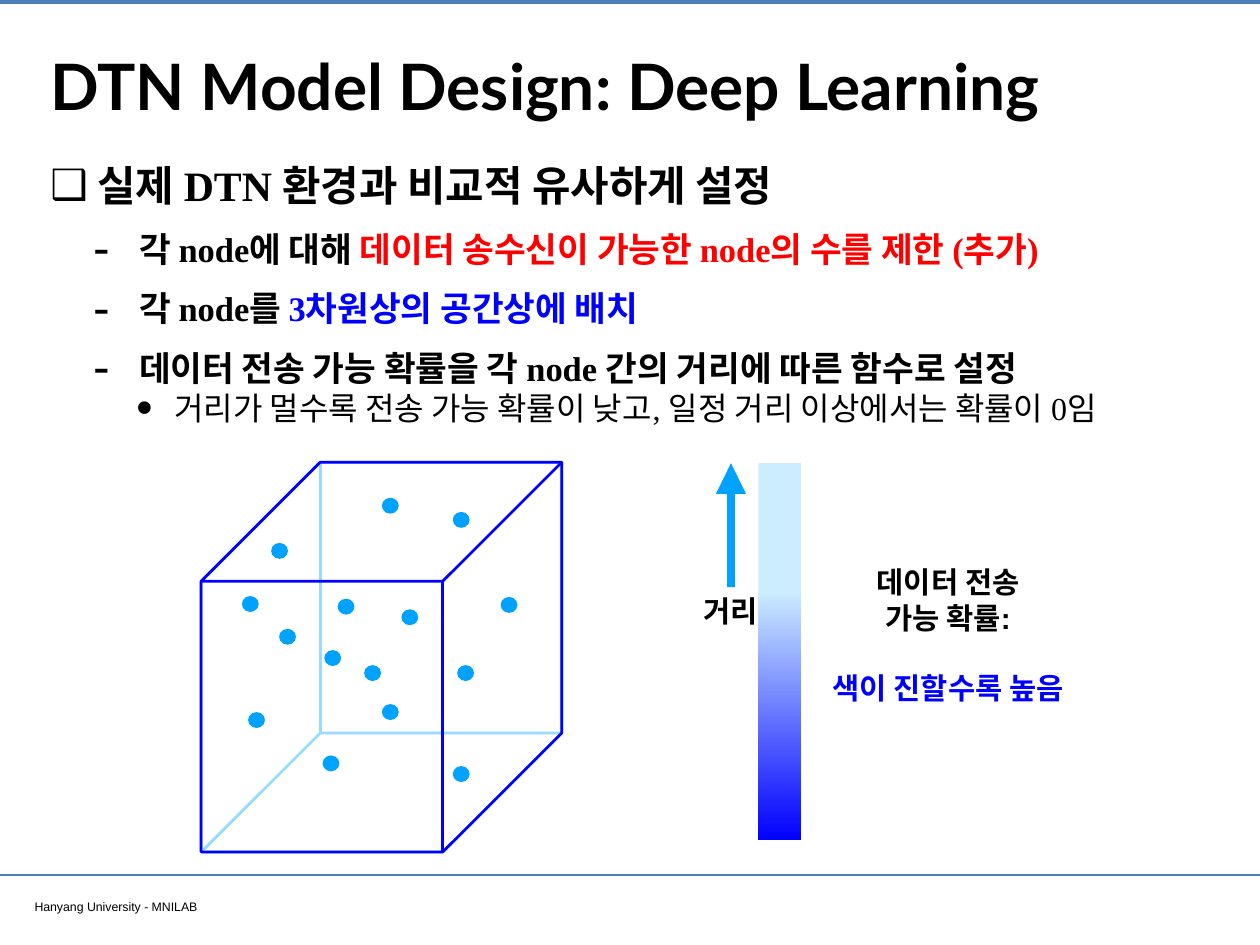
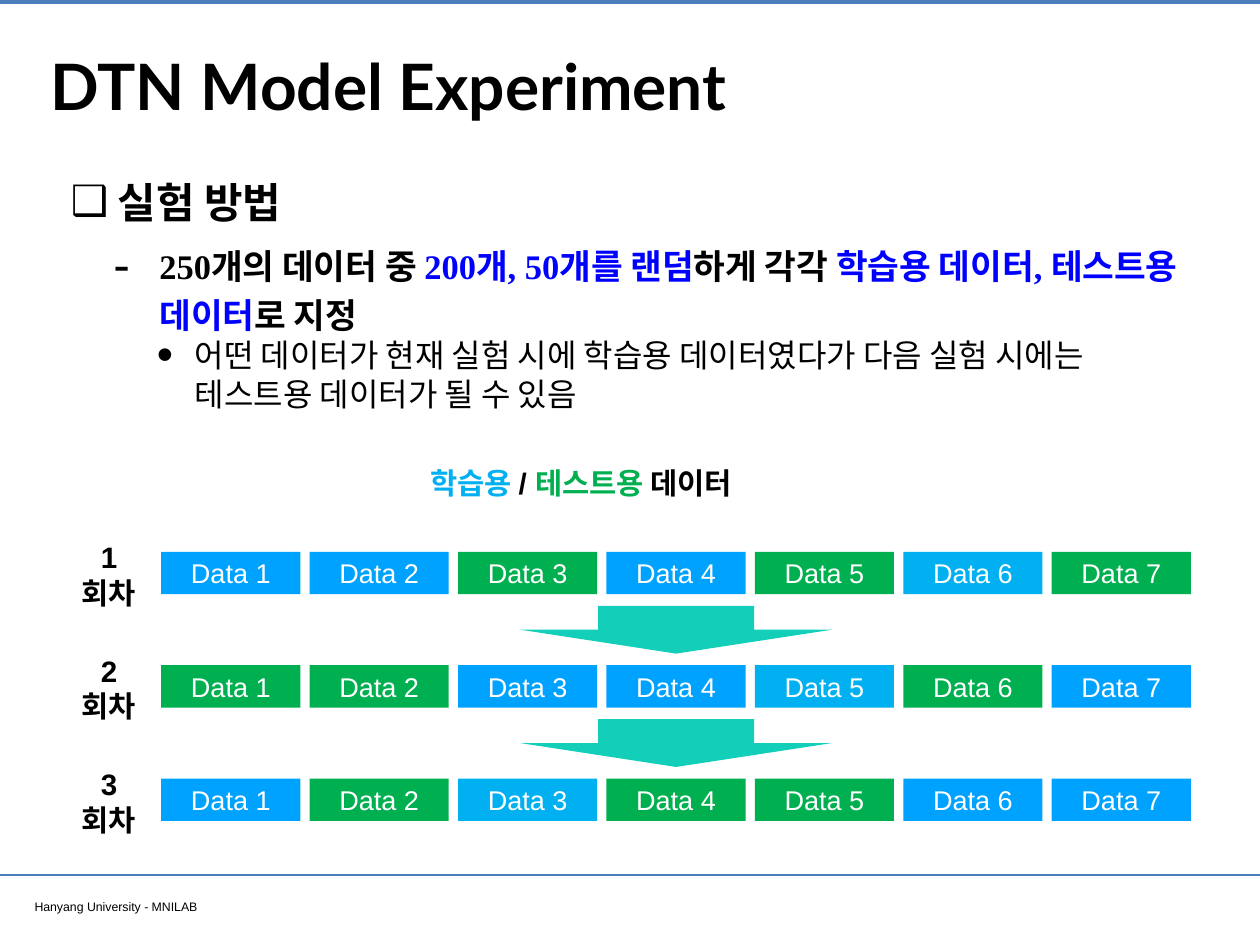
from lxml import etree
from pptx import Presentation
from pptx import util as u
from pptx.dml.color import RGBColor
from pptx.enum import shapes, text
from pptx.oxml.ns import qn

BLACK, WHITE, RED, BLUE = "000000", "FFFFFF", "FF0000", "0000FF"
BAND, SKY, CYAN, GREEN, TEAL = "4A7EBB", "00A2FF", "00B0F0", "00B050", "13CFB9"
CENTER, LEFT = text.PP_ALIGN.CENTER, text.PP_ALIGN.LEFT
SHAPE = shapes.MSO_SHAPE

# Outline levels: bullet, bullet size %, indent, hanging, size, bold, line spacing, space before
LEVELS = [
    ("❑", 100, 0.53, 0.53, 34, True, 1.2, 8),
    ("-", 145, 1, 0.52, 28, True, 1.2, 8),
    ("•", 145, 1.4, 0.43, 26, False, 1, 0),
]


def color(value):
    return RGBColor.from_string(value)


class Deck:
    """Shared style and the slide being filled."""

    def __init__(self):
        self.presentation = Presentation()
        self.presentation.slide_width = u.Inches(14.22)
        self.presentation.slide_height = u.Inches(10.67)
        self.slide = None

    def new_slide(self, title):
        self.slide = self.presentation.slides.add_slide(self.presentation.slide_layouts[5])
        self.line(0.02, 3.2)
        self.line(9.88, 2)
        self.text_box(0.33, 10.09, 5.46, 0.26, [[("Hanyang University - MNILAB", BLACK)]],
                      size=10, bold=False, align=LEFT, anchor=text.MSO_ANCHOR.TOP)
        placeholder = self.slide.shapes.title
        placeholder.left, placeholder.top = u.Inches(0.51), u.Inches(0.28)
        placeholder.width, placeholder.height = u.Inches(13.21), u.Inches(1.35)
        frame = self.frame(placeholder)
        frame.auto_size = text.MSO_AUTO_SIZE.NONE
        frame.paragraphs[0].alignment = LEFT
        self.runs(frame.paragraphs[0], [(title, BLACK)], 52, True, "Lato")

    def line(self, y, width):
        """Draw a band across the whole slide."""
        connector = self.slide.shapes.add_connector(
            shapes.MSO_CONNECTOR.STRAIGHT, 0, u.Inches(y), u.Inches(14.22), u.Inches(y))
        connector.line.color.rgb = color(BAND)
        connector.line.width = u.Pt(width)
        etree.SubElement(connector._element.spPr, qn("a:effectLst"))

    def frame(self, shape, wrap=True, anchor=text.MSO_ANCHOR.MIDDLE, side=0.06):
        frame = shape.text_frame
        frame.word_wrap = wrap
        frame.vertical_anchor = anchor
        frame.margin_left = frame.margin_right = u.Inches(side)
        frame.margin_top = frame.margin_bottom = u.Inches(0.06)
        return frame

    def runs(self, paragraph, parts, size, bold, font="Arial"):
        for words, shade in parts:
            run = paragraph.add_run()
            run.text = words
            run.font.name, run.font.size, run.font.bold = font, u.Pt(size), bold
            run.font.color.rgb = color(shade)

    def text_box(self, x, y, width, height, lines, size=24, bold=True, align=CENTER,
                 wrap=False, anchor=text.MSO_ANCHOR.MIDDLE, side=0.06):
        box = self.slide.shapes.add_textbox(*map(u.Inches, (x, y, width, height)))
        frame = self.frame(box, wrap, anchor, side)
        for index, parts in enumerate(lines):
            paragraph = frame.add_paragraph() if index else frame.paragraphs[0]
            paragraph.alignment = align
            self.runs(paragraph, parts, size, bold)
        return frame

    def outline(self, x, y, width, height, items):
        """Add bulleted text from (level, runs) pairs."""
        box = self.slide.shapes.add_textbox(*map(u.Inches, (x, y, width, height)))
        frame = self.frame(box, anchor=text.MSO_ANCHOR.TOP)
        for index, (level, parts) in enumerate(items):
            bullet, percent, indent, hanging, size, bold, spacing, before = LEVELS[level]
            paragraph = frame.add_paragraph() if index else frame.paragraphs[0]
            paragraph.level = level
            properties = paragraph._p.get_or_add_pPr()
            properties.set("marL", str(u.Inches(indent)))
            properties.set("indent", str(-u.Inches(hanging)))
            etree.SubElement(properties, qn("a:buSzPct")).set("val", str(percent * 1000))
            etree.SubElement(properties, qn("a:buFont")).set("typeface", "Arial")
            etree.SubElement(properties, qn("a:buChar")).set("char", bullet)
            paragraph.line_spacing = spacing
            if index:
                paragraph.space_before = u.Pt(before)
            self.runs(paragraph, parts, size, bold, "Times New Roman")

    def shape(self, kind, x, y, width, height, fill=None, line=None, adjust=()):
        shape = self.slide.shapes.add_shape(kind, *map(u.Inches, (x, y, width, height)))
        shape.shadow.inherit = False
        for index, value in enumerate(adjust):
            shape.adjustments[index] = value
        if fill:
            shape.fill.solid()
            shape.fill.fore_color.rgb = color(fill)
        else:
            shape.fill.background()
        if line:
            shape.line.color.rgb = color(line)
            shape.line.width = u.Pt(2.25)
        else:
            shape.line.fill.background()
        return shape

    def gradient_bar(self, x, y, width, height, stops):
        """Fill a bar from top to bottom with two (position, colour) stops."""
        fill = self.shape(SHAPE.RECTANGLE, x, y, width, height).fill
        fill.gradient()
        fill.gradient_angle = 270
        for stop, (position, shade) in zip(fill.gradient_stops, stops):
            stop.position = position
            stop.color.rgb = color(shade)

    def data_cell(self, x, y, label, fill):
        cell = self.shape(SHAPE.RECTANGLE, x, y, 1.57, 0.48, fill)
        paragraph = self.frame(cell).paragraphs[0]
        paragraph.alignment = CENTER
        self.runs(paragraph, [(label, WHITE)], 22, False)


def design_slide(deck):
    deck.new_slide("DTN Model Design: Deep Learning")
    deck.outline(0.51, 1.63, 12.68, 4.44, [
        (0, [("실제 DTN 환경과 비교적 유사하게 설정", BLACK)]),
        (1, [("각 node에 대해 ", BLACK),
             ("데이터 송수신이 가능한 node의 수를 제한 (추가)", RED)]),
        (1, [("각 node를 ", BLACK), ("3차원상의 공간상에 배치", BLUE)]),
        (1, [("데이터 전송 가능 확률을 각 node 간의 거리에 따른 함수로 설정", BLACK)]),
        (2, [("거리가 멀수록 전송 가능 확률이 낮고, 일정 거리 이상에서는 확률이 0임", BLACK)]),
    ])

    deck.gradient_bar(8.56, 5.23, 0.48, 4.26, [(0.34, "CCECFF"), (1, BLUE)])
    legend = deck.text_box(9.18, 6.3, 3.04, 1.73, [
        [("데이터 전송", BLACK)], [("가능 확률:", BLACK)], [("색이 진할수록 높음", BLUE)]])
    legend.paragraphs[2].space_before = u.Pt(28)
    deck.shape(SHAPE.UP_ARROW, 8.08, 5.23, 0.34, 1.4, SKY, adjust=(0.26, 1.02))
    deck.text_box(7.85, 6.63, 0.79, 0.52, [[("거리", BLACK)]])

    for rotation, edge in ((180, "99DAFF"), (0, BLUE)):
        cube = deck.shape(SHAPE.CUBE, 2.27, 5.22, 4.07, 4.4, line=edge, adjust=(0.33,))
        cube.rotation = rotation
    nodes = [(4.31, 5.62), (5.11, 5.78), (3.15, 7.1), (5.65, 6.74), (4.11, 7.51),
             (5.11, 8.65), (2.8, 8.04), (3.64, 8.53), (5.16, 7.51), (3.81, 6.76),
             (4.53, 6.88), (3.66, 7.34), (3.06, 6.13), (2.73, 6.73), (4.31, 7.95)]
    for x, y in nodes:
        deck.shape(SHAPE.OVAL, x, y, 0.19, 0.18, SKY)


def experiment_slide(deck):
    deck.new_slide("DTN Model Experiment")
    deck.outline(0.74, 1.82, 12.68, 2.96, [
        (0, [("실험 방법", BLACK)]),
        (1, [("250개의 데이터 중 ", BLACK), ("200개, 50개를 랜덤", BLUE), ("하게 각각 ", BLACK),
             ("학습용 데이터, 테스트용 데이터", BLUE), ("로 지정", BLACK)]),
        (2, [("어떤 데이터가 현재 실험 시에 학습용 데이터였다가 다음 실험 시에는 "
              "테스트용 데이터가 될 수 있음", BLACK)]),
    ])
    deck.text_box(4.57, 5.19, 3.98, 0.52, [
        [("학습용 ", CYAN), ("/ ", BLACK), ("테스트용 ", GREEN), ("데이터", BLACK)]])

    rounds = [
        (SKY, SKY, GREEN, SKY, GREEN, CYAN, GREEN),
        (GREEN, GREEN, SKY, SKY, CYAN, GREEN, SKY),
        (SKY, GREEN, CYAN, GREEN, GREEN, SKY, SKY),
    ]
    row_pitch, column_pitch = 1.28, (11.87 - 1.82) / 6
    for row, fills in enumerate(rounds):
        top = 6.23 + row * row_pitch
        # Wide side margins break the label after its number
        deck.text_box(0.74, top, 0.98, 0.52, [[(f"{row + 1}회차", BLACK)]], wrap=True, side=0.15)
        for column, fill in enumerate(fills):
            deck.data_cell(1.82 + column * column_pitch, top, f"Data {column + 1}", fill)
        if row:
            deck.shape(SHAPE.DOWN_ARROW, 5.87, top - 0.67, 3.52, 0.54, TEAL)


def main():
    deck = Deck()
    design_slide(deck)
    experiment_slide(deck)
    deck.presentation.save("out.pptx")


if __name__ == "__main__":
    main()
